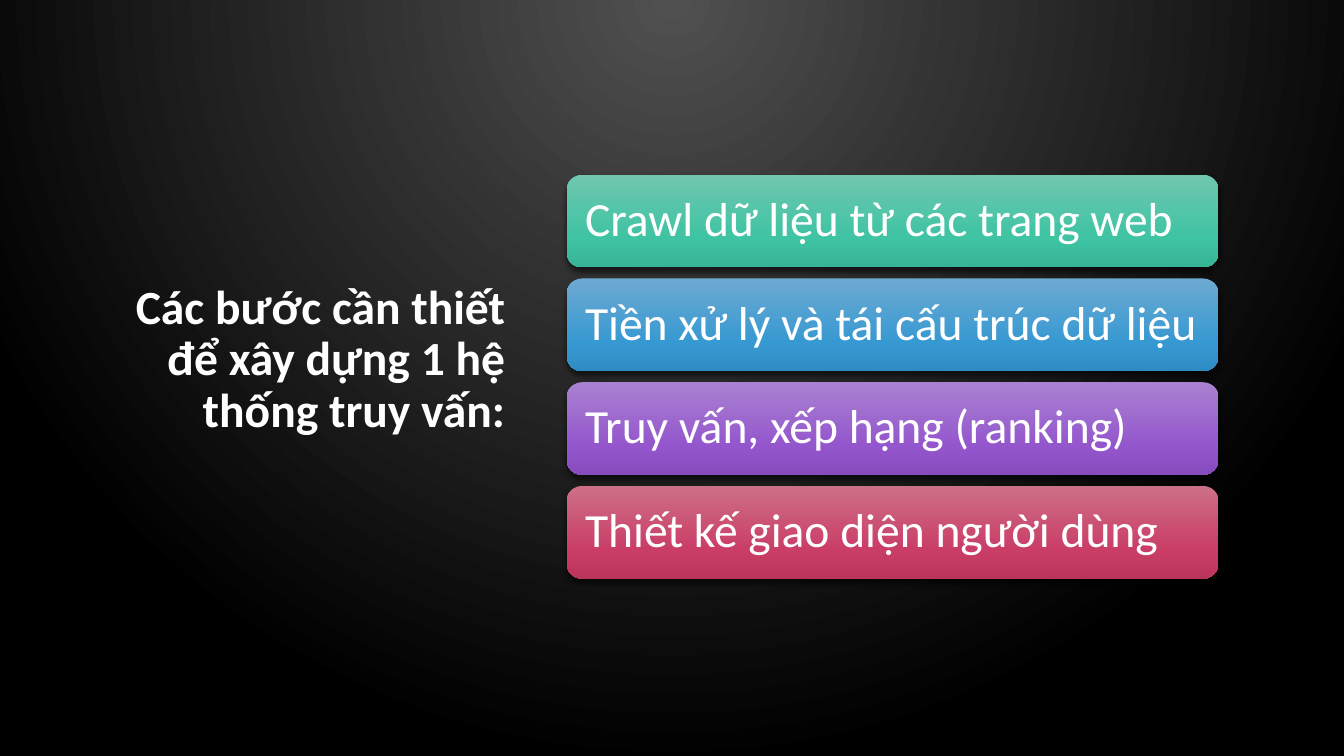
from lxml.etree import SubElement
from pptx import Presentation
from pptx.dml.color import RGBColor
from pptx.enum.shapes import MSO_SHAPE
from pptx.enum.text import MSO_ANCHOR, PP_ALIGN
from pptx.oxml import parse_xml
from pptx.oxml.ns import nsdecls, qn
from pptx.util import Pt

FONT = "Calibri"
FONT_SIZE = Pt(34)
WHITE = RGBColor(0xFF, 0xFF, 0xFF)
GREY = RGBColor(0x50, 0x50, 0x50)
BLACK = RGBColor(0x00, 0x00, 0x00)
GREENS = [RGBColor(0x70, 0xC6, 0xAF), RGBColor(0x3E, 0xC4, 0xA3), RGBColor(0x37, 0xB3, 0x95)]
BLUES = [RGBColor(0x6D, 0xAA, 0xD2), RGBColor(0x37, 0x99, 0xD2), RGBColor(0x2F, 0x8C, 0xC2)]
PURPLES = [RGBColor(0xA9, 0x81, 0xD1), RGBColor(0x94, 0x56, 0xCD), RGBColor(0x86, 0x4B, 0xBC)]
REDS = [RGBColor(0xCC, 0x70, 0x87), RGBColor(0xCA, 0x3D, 0x66), RGBColor(0xBA, 0x35, 0x5B)]

TITLE = "Các bước cần thiết để xây dựng 1 hệ thống truy vấn:"
STEPS = [
    ("Crawl dữ liệu từ các trang web", GREENS),
    ("Tiền xử lý và tái cấu trúc dữ liệu", BLUES),
    ("Truy vấn, xếp hạng (ranking)", PURPLES),
    ("Thiết kế giao diện người dùng", REDS),
]
STEP_LEFT, STEP_TOP, STEP_WIDTH, STEP_HEIGHT = 404.7, 124.8, 465.8, 66.2
STEP_PITCH = 74.1

LINEAR_DOWN = '<a:lin ang="5400000" scaled="0"/>'
CIRCLE_FROM_TOP = '<a:path path="circle"><a:fillToRect l="43000" r="43000" b="100000"/></a:path>'


def set_gradient(fill, parent, colors, positions, direction):
    """Give parent a gradient fill; positions are percentages."""
    fill.solid()
    stops = "".join(
        f'<a:gs pos="{pos * 1000}"><a:srgbClr val="{color}"/></a:gs>'
        for color, pos in zip(colors, positions))
    gradient = parse_xml(
        f'<a:gradFill {nsdecls("a")} rotWithShape="1">'
        f'<a:gsLst>{stops}</a:gsLst>{direction}</a:gradFill>')
    parent.replace(parent.find(qn("a:solidFill")), gradient)


def add_shadow(sp):
    sp.shadow.inherit = False
    effects = sp._element.spPr.find(qn("a:effectLst"))
    shadow = SubElement(effects, qn("a:outerShdw"), blurRad=str(Pt(4)), dist=str(Pt(3)),
                        dir="5400000", algn="ctr", rotWithShape="0")
    color = SubElement(shadow, qn("a:srgbClr"), val=str(BLACK))
    SubElement(color, qn("a:alpha"), val="54000")


def set_text(tf, text, align, bold=False):
    tf.word_wrap = True
    p = tf.paragraphs[0]
    p.text = text
    p.alignment = align
    p.line_spacing = 0.9
    p.font.name = FONT
    p.font.size = FONT_SIZE
    p.font.bold = bold
    p.font.color.rgb = WHITE


def add_title(slide, text):
    tf = slide.shapes.add_textbox(Pt(71.3), Pt(198.7), Pt(296.6), Pt(143.3)).text_frame
    set_text(tf, text, PP_ALIGN.RIGHT, bold=True)


def add_step(slide, index, text, colors):
    sp = slide.shapes.add_shape(
        MSO_SHAPE.ROUNDED_RECTANGLE, Pt(STEP_LEFT), Pt(STEP_TOP + index * STEP_PITCH),
        Pt(STEP_WIDTH), Pt(STEP_HEIGHT))
    set_gradient(sp.fill, sp._element.spPr, colors, (0, 69, 100), LINEAR_DOWN)
    sp.line.fill.background()
    add_shadow(sp)
    tf = sp.text_frame
    tf.margin_left = tf.margin_right = Pt(10)
    tf.margin_top = tf.margin_bottom = Pt(0)
    tf.vertical_anchor = MSO_ANCHOR.MIDDLE
    set_text(tf, text, PP_ALIGN.LEFT)


def main():
    prs = Presentation()
    prs.slide_width, prs.slide_height = Pt(960), Pt(540)
    slide = prs.slides.add_slide(prs.slide_layouts[6])

    # Background glow from the top centre
    fill = slide.background.fill
    fill.solid()
    bg_pr = slide._element.cSld.bg.bgPr
    set_gradient(fill, bg_pr, (GREY, BLACK), (0, 100), CIRCLE_FROM_TOP)

    # Heading on the left
    add_title(slide, TITLE)

    # Stack of steps on the right
    for index, (text, colors) in enumerate(STEPS):
        add_step(slide, index, text, colors)

    prs.save("out.pptx")


if __name__ == "__main__":
    main()
